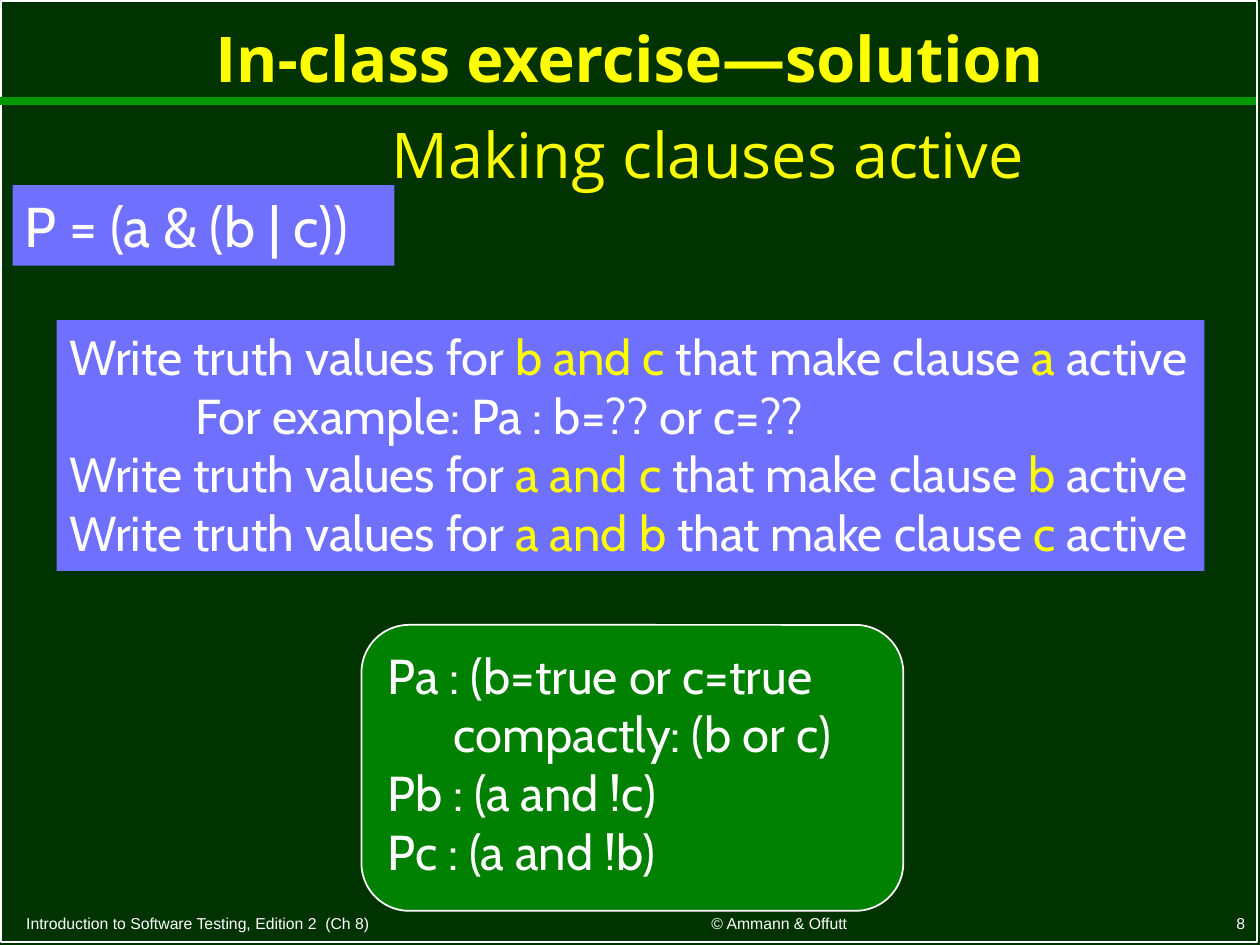
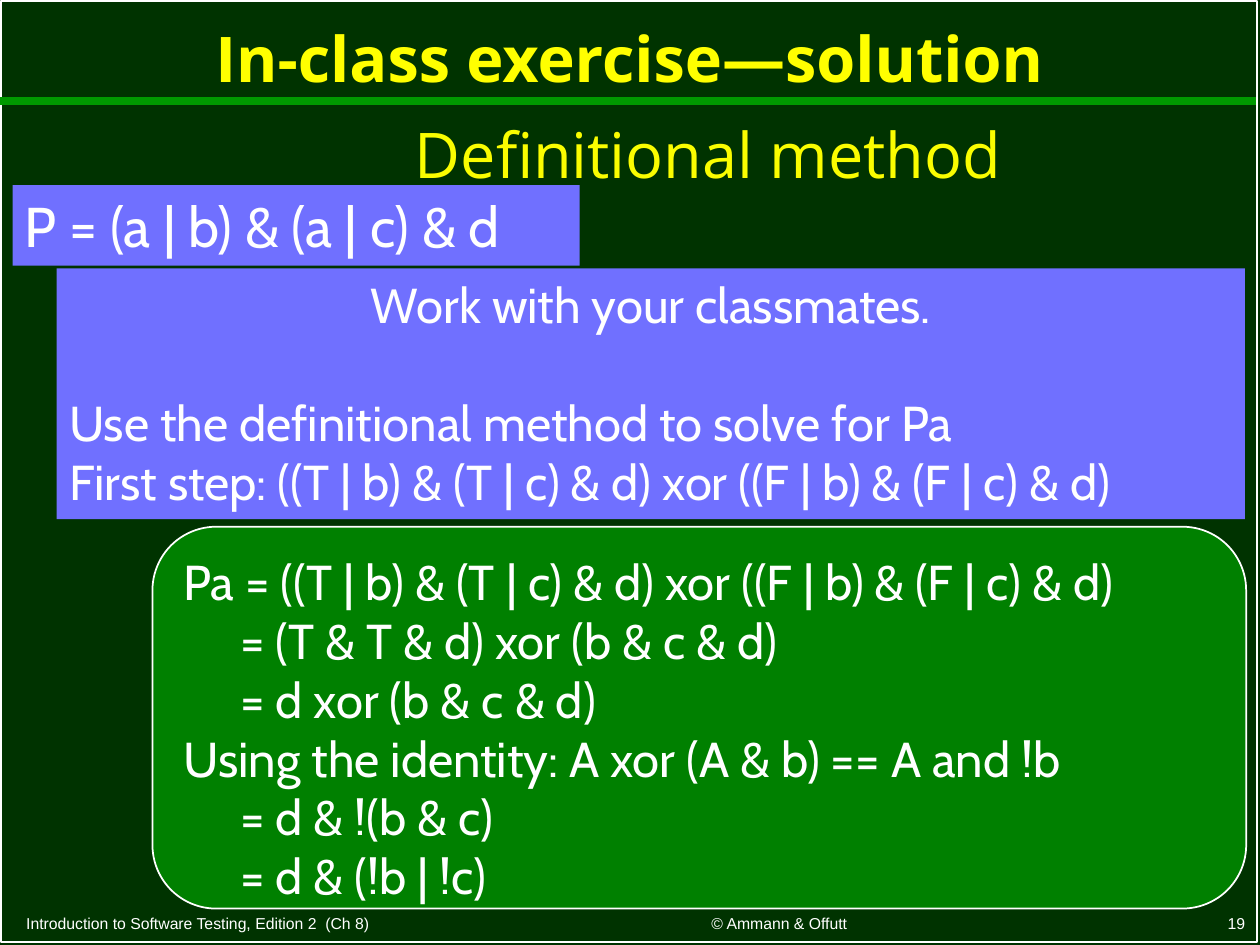
"""Build two dark green slides with exercise solutions on clause logic."""
from lxml.etree import SubElement
from pptx import Presentation
from pptx.dml.color import RGBColor as Rgb
from pptx.enum.shapes import MSO_CONNECTOR as Link, MSO_SHAPE as Form
from pptx.enum.text import MSO_ANCHOR as Anchor, MSO_AUTO_SIZE as Fit, PP_ALIGN as Align
from pptx.oxml.ns import qn
from pptx.util import Pt

HUES = {
    "back": "003300",
    "rule": "009900",
    "title": "FFFF00",
    "sub": "FAFD00",
    "mark": "FFFF00",
    "text": "FFFFFF",
    "task": "7070FF",
    "reply": "008000",
}
FONTS = {
    "title": {"name": "Open Sans", "size": Pt(36), "bold": True},
    "sub": {"name": "Open Sans", "size": Pt(36)},
    "foot": {"name": "Arial", "size": Pt(9)},
    "logic": {"name": "Cabin", "size": Pt(32)},
    "body": {"name": "Cabin", "size": Pt(28)},
}
FRAME = {"word_wrap": True, "auto_size": Fit.NONE}
MID = {"alignment": Align.CENTER}
FEET = (
    ((7.9, 518.4, 307.4, 18), "Introduction to Software Testing, Edition 2  (Ch 8)", Align.LEFT),
    ((331.2, 517.7, 228.2, 18.7), "© Ammann & Offutt", Align.CENTER),
    ((568.8, 517.7, 149.8, 18.7), "{}", Align.RIGHT),
)


def tint(name):
    return Rgb.from_string(HUES[name])


def put(item, values):
    for key, value in values.items():
        setattr(item, key, value)


def spot(box):
    return [Pt(part) for part in box]


def place(shape, box):
    put(shape, dict(zip(("left", "top", "width", "height"), spot(box))))


def write(shape, lines, font, hue="text", anchor=Anchor.TOP):
    """Fill a shape with (text, indent, format) lines; *stars* mark bright words."""
    frame = shape.text_frame
    put(frame, {**FRAME, "vertical_anchor": anchor})
    for count, (text, indent, form) in enumerate(lines):
        para = frame.add_paragraph() if count else frame.paragraphs[0]
        put(para, {"alignment": Align.LEFT, **form})
        if indent:
            para._p.get_or_add_pPr().set("marL", str(Pt(indent)))
        for turn, words in enumerate(text.split("*")):
            run = para.add_run()
            run.text = words
            put(run.font, FONTS[font])
            run.font.color.rgb = tint("mark" if turn % 2 else hue)


def label(slide, box, text, font, form, hue="text", anchor=Anchor.TOP):
    shape = slide.shapes.add_textbox(*spot(box))
    write(shape, [(text, 0, form)], font, hue, anchor)


def panel(slide, box, form=Form.RECTANGLE, fill=None, line=None):
    shape = slide.shapes.add_shape(form, *spot(box))
    shape.shadow.inherit = False
    if fill:
        shape.fill.solid()
        shape.fill.fore_color.rgb = tint(fill)
    else:
        shape.fill.background()
    if line:
        shape.line.color.rgb = tint(line)
        shape.line.width = Pt(1)
    else:
        shape.line.fill.background()
    return shape


def rule(slide):
    line = slide.shapes.add_connector(Link.STRAIGHT, *spot((0, 57.6, 717.8, 57.6)))
    line.line.color.rgb = tint("rule")
    line.line.width = Pt(4.5)
    SubElement(line._element.spPr, qn("a:effectLst"))


def start(deck, number, sub, sub_box):
    slide = deck.slides.add_slide(deck.slide_layouts[5])
    panel(slide, (0.7, 0.7, 717.8, 537.8), line="text")
    rule(slide)
    title = slide.shapes.title
    place(title, (7.2, 3.6, 704.9, 63.4))
    write(title, [("In-class exercise—solution", 0, {**MID, "line_spacing": 0.9})],
          "title", "title", Anchor.MIDDLE)
    for box, text, side in FEET:
        label(slide, box, text.format(number), "foot", {"alignment": side}, anchor=Anchor.BOTTOM)
    label(slide, sub_box, sub, "sub", MID, "sub")
    return slide


def task(slide, box, lines, logic, width):
    write(panel(slide, box, fill="task"), lines, "body")
    write(panel(slide, (7.2, 105.8, width, 46.1), fill="task"), [(logic, 0, {})], "logic")


def reply(slide, box, lines):
    write(panel(slide, box, Form.ROUNDED_RECTANGLE, "reply", "text"), lines, "body")


def active(deck):
    slide = start(deck, 8, "Making clauses active", (199.4, 62.6, 410.4, 51.1))
    asks = [(f"Write truth values for *{pair}* that make clause *{one}* active", 0, {})
            for pair, one in (("b and c", "a"), ("a and c", "b"), ("a and b", "c"))]
    asks.insert(1, ("For example: Pa : b=?? or c=??", 72, {}))
    task(slide, (32.4, 182.9, 655.9, 143.3), asks, "P = (a & (b | c))", 218.2)
    reply(slide, (206.6, 357.1, 309.6, 163.4), [
        ("Pa : (b=true or c=true", 0, {}),
        ("compactly: (b or c)", 37.7, {}),
        ("Pb : (a and !c)", 0, {}),
        ("Pc : (a and !b)", 0, {}),
    ])


def method(deck):
    slide = start(deck, 19, "Definitional method", (218.2, 62.6, 373, 51.1))
    both = "((T | b) & (T | c) & d) xor ((F | b) & (F | c) & d)"
    task(slide, (32.4, 153.4, 679, 143.3), [
        ("Work with your classmates.", 0, {**MID, "space_after": Pt(33.6)}),
        ("Use the definitional method to solve for Pa", 0, {}),
        (f"First step: {both}", 0, {}),
    ], "P = (a | b) & (a | c) & d", 324)
    reply(slide, (87.1, 301, 625, 218.2), [
        (f"Pa = {both}", 0, {}),
        ("= (T & T & d) xor (b & c & d)", 32.4, {}),
        ("= d xor (b & c & d)", 32.4, {}),
        ("Using the identity: A xor (A & b) == A and !b", 0, {}),
        ("= d & !(b & c)", 32.4, {}),
        ("= d & (!b | !c)", 32.4, {}),
    ])


def main():
    deck = Presentation()
    put(deck, {"slide_width": Pt(720), "slide_height": Pt(540)})
    fill = deck.slide_master.background.fill
    fill.solid()
    fill.fore_color.rgb = tint("back")
    active(deck)
    method(deck)
    deck.save("out.pptx")


if __name__ == "__main__":
    main()
